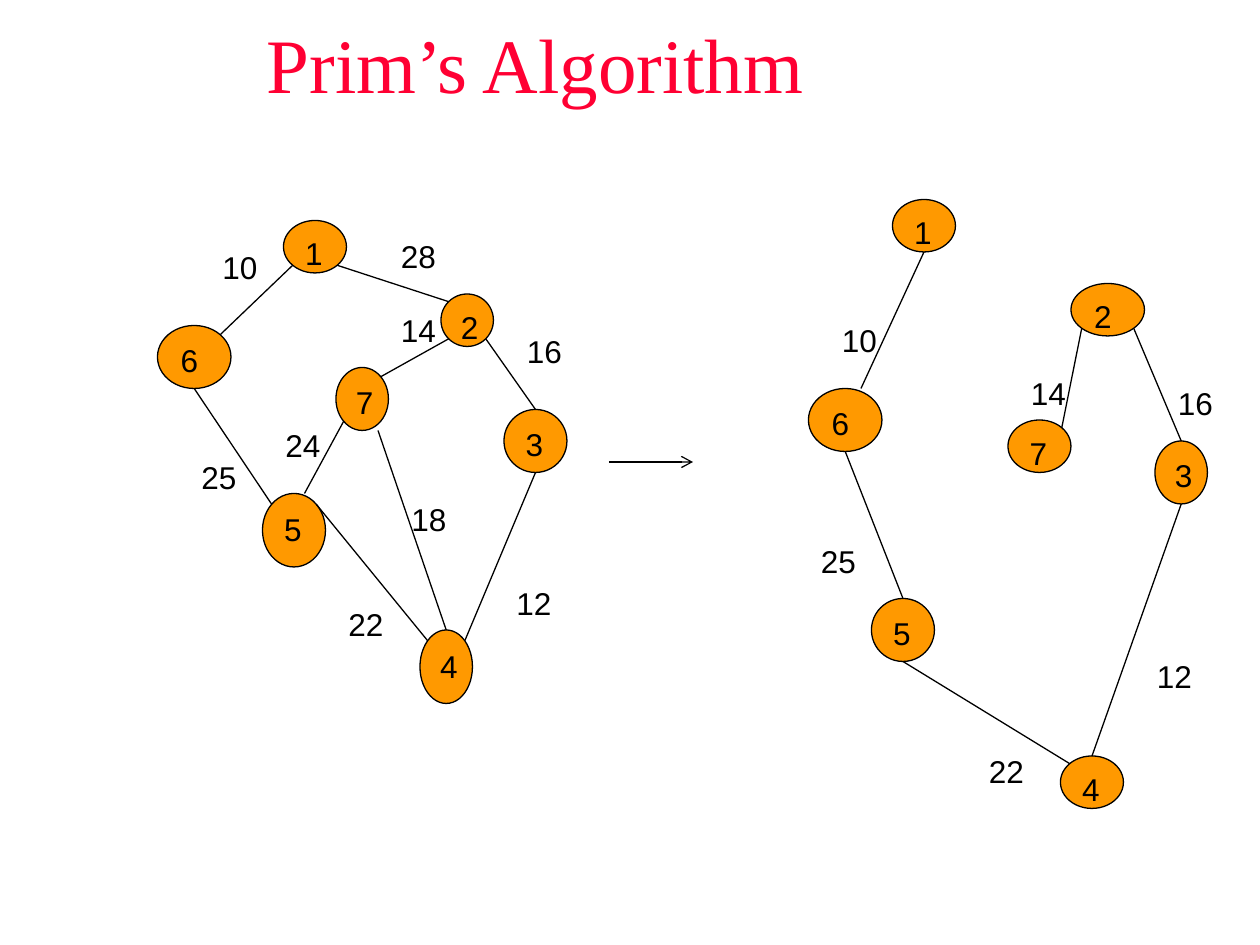
from math import cos, radians, sin

from lxml.etree import SubElement
from pptx import Presentation
from pptx.dml.color import RGBColor
from pptx.enum.shapes import MSO_CONNECTOR as CXN, MSO_SHAPE as SHAPE
from pptx.enum.text import MSO_ANCHOR as ANCHOR, MSO_AUTO_SIZE as FIT, PP_ALIGN as ALIGN
from pptx.oxml.ns import qn
from pptx.util import Inches, Pt

RED = RGBColor(0xFF, 0x00, 0x33)
ORANGE = RGBColor(0xFF, 0x99, 0x00)
BLACK = RGBColor(0x00, 0x00, 0x00)

# The grid has 12 columns and 12 rows to the inch
COLS, ROWS = 120, 90
LABEL_HEIGHT = 4.8

# Direction of each attachment point on a node, clockwise from the right
ANGLES = {"right": 0, "bottom right": 45, "bottom": 90, "bottom left": 135,
          "left": 180, "top left": 225, "top": 270, "top right": 315}

# Nodes: number -> (column, row, columns wide, rows high)
# Edges: ends are (node, side), or a plain (column, row) point
# Labels: (weight, column, row, columns wide)
FULL_GRAPH = {
    "nodes": {1: (27, 21, 6, 5), 6: (15, 31, 7, 6), 2: (42, 28, 5, 5), 3: (48, 39, 6, 6),
              7: (32, 35, 5, 6), 5: (25, 47, 6, 7), 4: (40, 60, 5, 7)},
    "edges": [((1, "bottom left"), (6, "top right")),
              ((1, "bottom right"), (2, "top left")),
              ((2, "bottom left"), (7, "top right")),
              ((2, "bottom right"), (3, "top")),
              ((3, "bottom"), (4, "top right")),
              ((4, "top left"), (5, "top right")),
              ((7, "bottom left"), (29, 47)),
              ((36, 41), (4, "top")),
              ((6, "bottom"), (5, "top left"))],
    "labels": [(10, 20, 23, 8.8), (28, 37, 22, 6), (16, 49, 31, 6), (14, 37, 29, 6),
               (18, 38, 47, 6), (12, 48, 55, 6), (22, 32, 57, 7), (24, 26, 40, 7),
               (25, 18, 43, 6)],
}
SPANNING_TREE = {
    "nodes": {1: (85, 19, 6, 5), 2: (102, 27, 7, 5), 3: (110, 42, 5, 6), 4: (101, 72, 6, 5),
              7: (96, 40, 6, 5), 6: (77, 37, 7, 6), 5: (83, 57, 6, 6)},
    "edges": [((1, "bottom"), (82, 37)),
              ((6, "bottom"), (5, "top")),
              ((5, "bottom"), (4, "top left")),
              ((3, "bottom"), (4, "top")),
              ((2, "bottom right"), (3, "top")),
              ((2, "bottom left"), (7, "top right"))],
    "labels": [(10, 79, 30, 8.8), (25, 77, 51, 6), (22, 93, 71, 6), (12, 109, 62, 6),
               (16, 111, 36, 6), (14, 97, 35, 7.8)],
}


class GraphSlide:
    """The current slide, its grid and its style."""

    font, size, line_width = "Arial", Pt(18), Pt(0.75)

    def __init__(self, prs):
        self.s = prs.slides.add_slide(prs.slide_layouts[6])
        self.col = prs.slide_width / COLS
        self.row = prs.slide_height / ROWS

    def place(self, *lengths):
        """Turn alternating columns and rows into slide lengths."""
        units = (self.col, self.row) * 2
        return [round(n * unit) for n, unit in zip(lengths, units)]

    def set_text(self, tf, text, font=font, size=size, color=BLACK, align=ALIGN.LEFT):
        tf.word_wrap = True
        p = tf.paragraphs[0]
        p.text = str(text)
        p.alignment = align
        p.font.name, p.font.size = font, size
        p.font.color.rgb = color

    def title(self, text, *box):
        tf = self.s.shapes.add_textbox(*self.place(*box)).text_frame
        tf.vertical_anchor = ANCHOR.MIDDLE
        self.set_text(tf, text, "Times New Roman", Pt(44), RED, ALIGN.CENTER)

    def node(self, number, *box):
        sp = self.s.shapes.add_shape(SHAPE.OVAL, *self.place(*box))
        sp.shadow.inherit = False
        sp.fill.solid()
        sp.fill.fore_color.rgb = ORANGE
        sp.line.color.rgb = BLACK
        sp.line.width = self.line_width
        sp.text_frame.vertical_anchor = ANCHOR.TOP
        self.set_text(sp.text_frame, number)

    def label(self, weight, col, row, width):
        box = self.place(col, row, width, LABEL_HEIGHT)
        tf = self.s.shapes.add_textbox(*box).text_frame
        self.set_text(tf, weight)
        tf.auto_size = FIT.SHAPE_TO_FIT_TEXT

    def line(self, start, end, arrow=False):
        cxn = self.s.shapes.add_connector(CXN.STRAIGHT, *self.place(*start, *end))
        cxn.line.color.rgb = BLACK
        cxn.line.width = self.line_width
        sp_pr = cxn._element.spPr
        if arrow:
            SubElement(sp_pr.find(qn("a:ln")), qn("a:tailEnd"), type="arrow")
        SubElement(sp_pr, qn("a:effectLst"))

    def graph(self, nodes, edges, labels):
        def point(end):
            """Find where an edge end lies, on a node's outline if it names a side."""
            if end[1] not in ANGLES:
                return end
            col, row, width, height = nodes[end[0]]
            angle = radians(ANGLES[end[1]])
            return (col + width / 2 * (1 + cos(angle)),
                    row + height / 2 * (1 + sin(angle)))

        for number, box in nodes.items():
            self.node(number, *box)
        for start, end in edges:
            self.line(point(start), point(end))
        for label in labels:
            self.label(*label)


def main():
    prs = Presentation()
    prs.slide_width, prs.slide_height = Inches(10), Inches(7.5)
    slide = GraphSlide(prs)

    slide.title("Prim’s Algorithm", 0, 2, 102, 8)
    slide.graph(**FULL_GRAPH)
    # Arrow from the full graph to its minimum spanning tree
    slide.line((58, 44), (66, 44), arrow=True)
    slide.graph(**SPANNING_TREE)

    prs.save("out.pptx")


if __name__ == "__main__":
    main()
